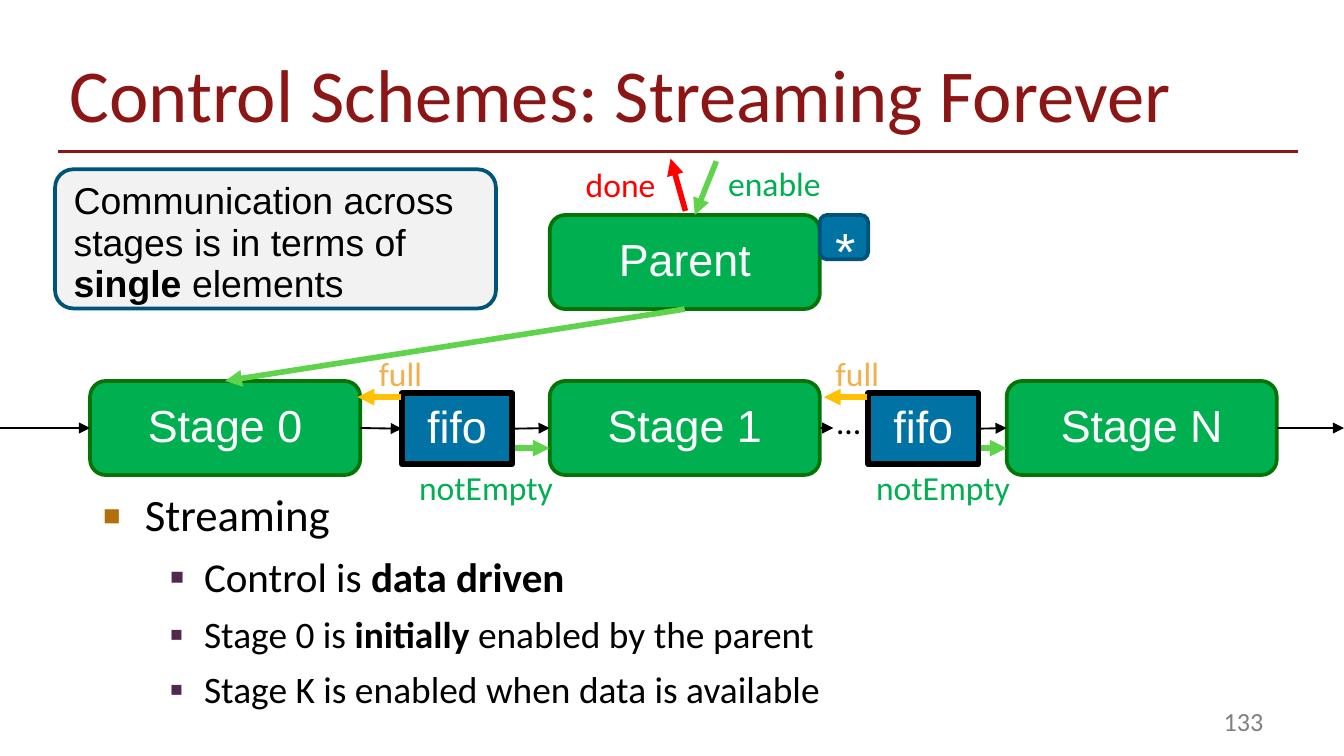
import pptx
import pptx.util
import pptx.dml.color
import pptx.enum.shapes
import pptx.enum.text
import pptx.oxml
import pptx.oxml.ns
import lxml.etree

COLS, ROWS = 100, 56.25
CELL = pptx.util.Inches(10) / COLS
HUES = {"red": "8C1515", "green": "00B050", "edge": "057305", "lime": "60D34D",
        "blue": "0072A4", "navy": "005479", "pale": "F2F2F2", "black": "000000",
        "white": "FFFFFF", "done": "FF0000", "gold": "FFC000", "sand": "F3AF4B",
        "gray": "808080", "rust": "B26F0C", "plum": "53284F"}
KINDS = pptx.enum.shapes.MSO_SHAPE
ALIGN = pptx.enum.text.PP_ALIGN
ANCHOR = pptx.enum.text.MSO_ANCHOR
FIT = pptx.enum.text.MSO_AUTO_SIZE
STAGE = (20.1, 7)
FIFO = (8.2, 5.3)


def hue(name):
    """Return the named colour."""
    return pptx.dml.color.RGBColor.from_string(HUES[name])


def grid(*cells):
    """Turn grid cells into slide lengths."""
    return [round(cell * CELL) for cell in cells]


def style(item, values):
    """Set each format value on an item."""
    for name, value in values.items():
        setattr(item, name, value)


def write(para, runs, size, color, font="Calibri", **form):
    """Fill a paragraph with runs, each a text and its boldness."""
    style(para, form)
    for text, bold in runs:
        run = para.add_run()
        run.text = text
        style(run.font, {"size": pptx.util.Pt(size), "name": font, "bold": bold})
        run.font.color.rgb = hue(color)


def text(page, box, runs, size, color, frame=None, **form):
    """Add a text box with one paragraph."""
    body = page.shapes.add_textbox(*grid(*box)).text_frame
    style(body, {"word_wrap": True, **(frame or {})})
    write(body.paragraphs[0], runs, size, color, **form)


def label(page, box, word, color):
    """Add a short label that does not wrap."""
    text(page, box, [(word, False)], 18, color,
         {"word_wrap": False, "auto_size": FIT.SHAPE_TO_FIT_TEXT})


def block(page, box, kind, fill, edge, width, runs, size,
          color="white", anchor=ANCHOR.MIDDLE, align=ALIGN.CENTER):
    """Add a filled shape with text."""
    shape = page.shapes.add_shape(kind, *grid(*box))
    shape.shadow.inherit = False
    shape.fill.solid()
    shape.fill.fore_color.rgb = hue(fill)
    shape.line.color.rgb = hue(edge)
    shape.line.width = pptx.util.Pt(width)
    style(shape.text_frame, {"word_wrap": True, "vertical_anchor": anchor})
    write(shape.text_frame.paragraphs[0], runs, size, color, "Arial",
          alignment=align, line_spacing=0.93)
    return shape


def stage(page, x, y, name):
    """Add a green stage block."""
    return block(page, (x, y, *STAGE), KINDS.ROUNDED_RECTANGLE,
                 "green", "edge", 2, [(name, False)], 24)


def link(page, start, end, color, width, head=True):
    """Draw a line whose ends are points or pairs of shape and side."""
    ends = [start, end]
    joins = [isinstance(tip[0], pptx.shapes.autoshape.Shape) for tip in ends]
    spots = [(0, 0) if join else tip for tip, join in zip(ends, joins)]
    line = page.shapes.add_connector(
        pptx.enum.shapes.MSO_CONNECTOR.STRAIGHT, *grid(*spots[0], *spots[1]))
    for tip, join, tie in zip(ends, joins, (line.begin_connect, line.end_connect)):
        if join:
            tie(*tip)
    line.line.color.rgb = hue(color)
    line.line.width = pptx.util.Pt(width)
    if head:
        tail = lxml.etree.SubElement(line.line._get_or_add_ln(),
                                     pptx.oxml.ns.qn("a:tailEnd"))
        tail.set("type", "triangle")
    lxml.etree.SubElement(line._element.spPr, pptx.oxml.ns.qn("a:effectLst"))


def head(page, box):
    """Place the title and its rule."""
    x, y, w, h = box
    text(page, box, [("Control Schemes: Streaming Forever", False)], 40, "red",
         {"vertical_anchor": ANCHOR.BOTTOM}, line_spacing=0.78)
    link(page, (x + 0.1, y + h + 0.6), (x + w - 0.7, y + h + 0.6), "red", 1.5, False)


def note(page, box):
    """Place the rounded remark."""
    runs = [("Communication across stages is in terms of ", False),
            ("single", True), (" elements", False)]
    shape = block(page, box, KINDS.ROUNDED_RECTANGLE, "pale", "navy", 2, runs, 20,
                  "black", ANCHOR.TOP, ALIGN.LEFT)
    shape.adjustments[0] = 0.13


def parent(page, box):
    """Place the parent block with its signals and return the block."""
    x, y, w, h = box
    top = y + h - STAGE[1]
    root = stage(page, x, top, "Parent")
    block(page, (x + STAGE[0], top, 3.6, 3.3), KINDS.ROUNDED_RECTANGLE, "blue",
          "navy", 2, [("*", False)], 28, anchor=ANCHOR.TOP, align=ALIGN.LEFT)
    label(page, (x + 12.3, y, 9, 4), "enable", "green")
    label(page, (x + 1.7, y + 0.1, 7.3, 4), "done", "done")
    link(page, (x + 10.1, y + 4.1), (x + 9, y + 0.2), "done", 3)
    link(page, (x + 12.4, y + 0.4), (x + 10.8, top), "lime", 3)
    return root


def queue(page, x, y, tag):
    """Place a fifo with its signals, their labels set from tag, and return it."""
    link(page, (tag + 3.8, y + 4.1), (tag + 10.7, y + 4.1), "lime", 3)
    fifo = block(page, (x, y, *FIFO), KINDS.RECTANGLE, "blue", "black", 3,
                 [("fifo", False)], 24)
    label(page, (tag, y + 5, 12.1, 4), "notEmpty", "green")
    link(page, (x - 0.1, y + 0.3), (x - 3.3, y + 0.3), "gold", 3)
    label(page, (tag - 3, y - 3.5, 5.3, 4), "full", "sand")
    return fifo


def flow(page, box, root):
    """Place the chain of stages and queues under the root block."""
    x, y, w, h = box
    mid = y + STAGE[1] / 2
    first, second, last = [stage(page, x + left, y, name) for left, name in
                           ((6.7, "Stage 0"), (40.9, "Stage 1"), (74.9, "Stage N"))]
    link(page, (root, 2), (first, 0), "lime", 3)
    near, far = [queue(page, x + left, y + 0.9, x + tag)
                 for left, tag in ((29.9, 30.2), (64.6, 64.2))]
    label(page, (x + 61.3, y + 1, 3.8, 4), "…", "black")
    for start, end in (((x, mid), (first, 1)), ((first, 3), (near, 1)),
                       ((near, 3), (second, 1)), ((second, 3), (x + 62, mid)),
                       ((far, 3), (last, 1)), ((last, 3), (x + w, mid))):
        link(page, start, end, "black", 1)


def points(page, box):
    """Place the bulleted list."""
    items = [(0, 24, [("Streaming", False)]),
             (1, 22, [("Control is ", False), ("data driven", True)]),
             (1, 20, [("Stage 0 is ", False), ("initially ", True),
                      ("enabled by the parent", False)]),
             (1, 20, [("Stage K is enabled when data is available", False)])]
    marks = [(8.1, -3.1, 6.5, "rust", 65), (12.5, -2.5, 6, "plum", 55)]
    body = page.shapes.add_textbox(*grid(*box)).text_frame
    body.word_wrap = True
    for spot, (level, size, runs) in enumerate(items):
        left, hang, gap, color, share = marks[level]
        para = body.add_paragraph() if spot else body.paragraphs[0]
        write(para, runs, size, "black", level=level + 1, line_spacing=0.98,
              space_before=pptx.util.Pt(gap))
        props = para._p.get_or_add_pPr()
        for name, cells in (("marL", left), ("indent", hang)):
            props.set(name, str(grid(cells)[0]))
        space = pptx.oxml.ns.nsdecls("a")
        for part in (f'<a:buClr {space}><a:srgbClr val="{HUES[color]}"/></a:buClr>',
                     f'<a:buSzPct {space} val="{share * 1000}"/>',
                     f'<a:buFont {space} typeface="Arial"/>',
                     f'<a:buChar {space} char="■"/>'):
            props.append(pptx.oxml.parse_xml(part))


def foot(page, box):
    """Place the page number."""
    text(page, box, [("133", False)], 14, "gray",
         {"vertical_anchor": ANCHOR.MIDDLE}, alignment=ALIGN.RIGHT)


def main():
    """Build and save the slide."""
    deck = pptx.Presentation()
    deck.slide_width, deck.slide_height = grid(COLS, ROWS)
    page = deck.slides.add_slide(deck.slide_layouts[6])
    head(page, (4.2, 1.85, 93.1, 8.8))
    foot(page, (71.7, 52.15, 23.3, 3))
    points(page, (1.7, 35.95, 93.3, 18.1))
    note(page, (4.1, 12.6, 32.8, 10.35))
    root = parent(page, (40.9, 11.6, 23.7, 11.4))
    flow(page, (0, 28.35, COLS, 10), root)
    deck.save("out.pptx")


if __name__ == "__main__":
    main()
